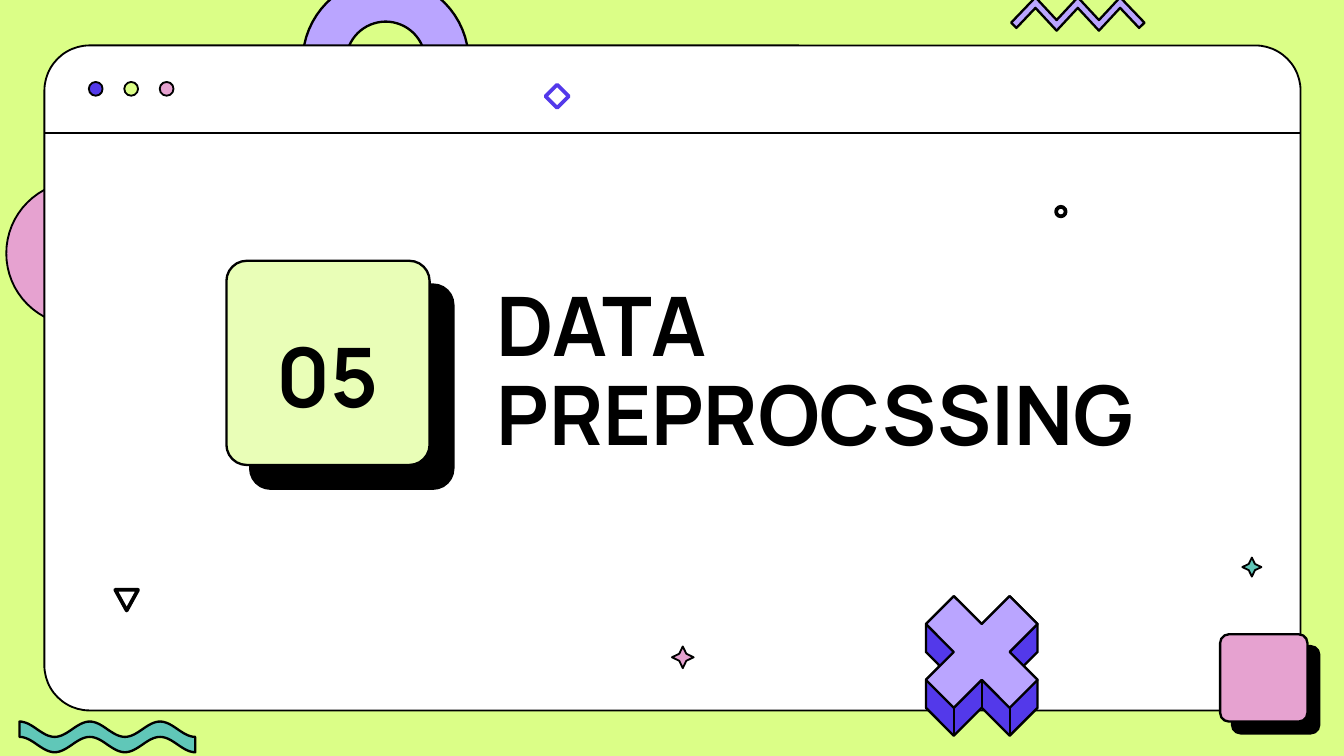
from dataclasses import dataclass
from math import cos, pi, radians, sin

from lxml.etree import SubElement
from pptx import Presentation
from pptx.dml.color import RGBColor
from pptx.enum.shapes import MSO_CONNECTOR as Connector, MSO_SHAPE as Preset
from pptx.enum.text import MSO_ANCHOR as Anchor, MSO_AUTO_SIZE as AutoSize, PP_ALIGN as Align
from pptx.oxml.ns import qn
from pptx.util import Cm, Pt


@dataclass(frozen=True)
class Theme:
    font: str = "Manrope"
    heading: float = 44
    thin: float = 1
    medium: float = 1.25
    bold: float = 2
    ink: str = "000000"
    paper: str = "FFFFFF"
    lime: str = "DBFE87"
    pale_lime: str = "E9FEB7"
    lilac: str = "BAA5FF"
    violet: str = "5339EA"
    pink: str = "E6A2D0"
    teal: str = "60C7B8"


@dataclass(frozen=True)
class Box:
    """A rectangle in centimetres."""
    left: float
    top: float
    width: float
    height: float

    def lengths(self):
        return Cm(self.left), Cm(self.top), Cm(self.width), Cm(self.height)


THEME = Theme()


def paint(shape, fill, line=THEME.ink, weight=THEME.thin):
    shape.shadow.inherit = False
    if fill:
        shape.fill.solid()
        shape.fill.fore_color.rgb = RGBColor.from_string(fill)
    else:
        shape.fill.background()
    shape.line.color.rgb = RGBColor.from_string(line)
    shape.line.width = Pt(weight)
    return shape


def add_preset(page, preset, box, fill, line=THEME.ink, weight=THEME.thin, adjust=None):
    shape = page.shapes.add_shape(preset, *box.lengths())
    if adjust is not None:
        shape.adjustments[0] = adjust
    return paint(shape, fill, line, weight)


def add_outline(page, points, fill, weight=THEME.medium):
    corners = [(Cm(x), Cm(y)) for x, y in points]
    builder = page.shapes.build_freeform(*corners[0])
    builder.add_line_segments(corners[1:])
    return paint(builder.convert_to_shape(), fill, weight=weight)


def add_line(page, x1, y1, x2, y2, weight=THEME.thin):
    line = page.shapes.add_connector(Connector.STRAIGHT, Cm(x1), Cm(y1), Cm(x2), Cm(y2))
    line.line.color.rgb = RGBColor.from_string(THEME.ink)
    line.line.width = Pt(weight)
    SubElement(line.element.spPr, qn("a:effectLst"))


def add_raised_tile(page, box, fill, adjust, distance):
    """Rounded tile with a hard diagonal shadow."""
    tile = add_preset(page, Preset.ROUNDED_RECTANGLE, box, fill,
                      weight=THEME.medium, adjust=adjust)
    effects = tile.element.spPr.find(qn("a:effectLst"))
    shadow = SubElement(effects, qn("a:outerShdw"), blurRad="0", dist=str(Pt(distance)),
                        dir="2700000", algn="bl", rotWithShape="0")
    SubElement(shadow, qn("a:srgbClr"), val=THEME.ink)


def arc(x, y, radius, start, end, steps=32):
    """Points on a circle, angles in degrees, clockwise from the right."""
    angles = [radians(start + (end - start) * i / steps) for i in range(steps + 1)]
    return [(x + radius * cos(a), y + radius * sin(a)) for a in angles]


def add_arch(page, box):
    outer = box.width / 2
    cap = 0.41
    x, y = box.left + outer, box.top + outer
    points = (arc(x, y, outer, 180, 360)
              + arc(x + outer - cap, y, cap, 0, 180)
              + arc(x, y, outer - 2 * cap, 360, 180)
              + arc(x - outer + cap, y, cap, 0, 180))
    add_outline(page, points, THEME.lilac)


def add_half_disc(page, box):
    radius = box.height / 2
    points = arc(box.left + box.width, box.top + radius, radius, 90, 270)
    add_outline(page, points, THEME.pink, THEME.thin)


def add_window(page, box):
    add_preset(page, Preset.ROUNDED_RECTANGLE, box, THEME.paper, adjust=0.068)
    bar = box.top + 1.65
    add_line(page, box.left, bar, box.left + box.width, bar)
    for i, color in enumerate((THEME.violet, THEME.lime, THEME.pink)):
        dot = Box(box.left + 0.84 + 0.67 * i, box.top + 0.69, 0.26, 0.26)
        add_preset(page, Preset.OVAL, dot, color)


def write_heading(shape, text, align, anchor):
    frame = shape.text_frame
    frame.text = text
    frame.word_wrap = True
    frame.auto_size = AutoSize.NONE
    frame.vertical_anchor = anchor
    frame.margin_left = frame.margin_right = Cm(0.25)
    frame.margin_top = frame.margin_bottom = Cm(0.25)
    para = frame.paragraphs[0]
    para.alignment = align
    para.line_spacing = 0.9
    para.space_before = Pt(0)
    font = para.runs[0].font
    font.name, font.size, font.bold = THEME.font, Pt(THEME.heading), True
    font.color.rgb = RGBColor.from_string(THEME.ink)


def add_section_heading(page, box, number, text):
    add_raised_tile(page, Box(box.left, box.top, 3.84, 3.86), THEME.pale_lime, 0.1, 18)
    title = page.shapes.title
    title.left, title.top, title.width, title.height = Box(
        box.left + 4.86, box.top + 0.35, box.width - 4.86, 3.73).lengths()
    write_heading(title, text, Align.LEFT, Anchor.BOTTOM)
    title.element.getparent().append(title.element)  # in front of the window
    label = page.shapes.add_textbox(*Box(box.left, box.top + 1.27, 3.84, 2).lengths())
    write_heading(label, number, Align.CENTER, Anchor.MIDDLE)


def add_cross(page, box):
    """Extruded cross on a grid four units wide and five high."""
    unit = box.width / 4
    x, y = box.left + 2 * unit, box.top + 2 * unit

    def place(points):
        return [(x + unit * across, y + unit * down) for across, down in points]

    right = [(1, -2), (2, -1), (2, 0), (1.5, 0.5), (2, 1), (2, 2), (1, 3)]
    left = [(-across, down) for across, down in reversed(right)]
    add_outline(page, place([(0, -1), *right, (0, 2), *left]), THEME.violet)
    front = [(1, -2), (2, -1), (1, 0), (2, 1), (1, 2), (0, 1),
             (-1, 2), (-2, 1), (-1, 0), (-2, -1), (-1, -2), (0, -1)]
    add_outline(page, place(front), THEME.lilac)
    for across, down in ((-1, 2), (0, 1), (1, 2)):
        start, end = place([(across, down), (across, down + 1)])
        add_line(page, *start, *end, THEME.medium)


def add_wave(page, box):
    steps, thickness = 80, 0.29
    swing = (box.height - thickness) / 2
    upper = [(box.left + box.width * i / steps,
              box.top + swing * (1 - cos(5 * pi * i / steps))) for i in range(steps + 1)]
    lower = [(x, y + thickness) for x, y in reversed(upper)]
    add_outline(page, upper + lower, THEME.teal)


def add_zigzag(page, box):
    left, top, right = box.left, box.top, box.left + box.width
    peaks = [(left + 0.46 + 0.4 * i, top + 0.43 * (i % 2)) for i in range(5)]
    lower = [(x, y + 0.2) for x, y in reversed(peaks)]
    add_outline(page, [(left, top + 0.48), *peaks, (right, top + 0.48),
                       (right - 0.1, top + 0.58), *lower, (left + 0.1, top + 0.58)],
                THEME.lilac)


def add_small_marks(page):
    add_preset(page, Preset.STAR_4_POINT, Box(12.7, 12.22, 0.41, 0.41), THEME.pink, adjust=0.23)
    add_preset(page, Preset.STAR_4_POINT, Box(23.48, 10.54, 0.36, 0.36), THEME.teal, adjust=0.23)
    add_preset(page, Preset.FLOWCHART_MERGE, Box(2.18, 11.15, 0.43, 0.39), None, weight=THEME.bold)
    add_preset(page, Preset.DIAMOND, Box(10.31, 1.6, 0.44, 0.44), None, THEME.violet, THEME.bold)
    add_preset(page, Preset.OVAL, Box(19.96, 3.91, 0.18, 0.18), None, weight=THEME.bold)


def main():
    deck = Presentation()
    deck.slide_width, deck.slide_height = Cm(25.4), Cm(14.29)
    page = deck.slides.add_slide(deck.slide_layouts[5])
    page.background.fill.solid()
    page.background.fill.fore_color.rgb = RGBColor.from_string(THEME.lime)

    add_arch(page, Box(5.72, -0.41, 3.14, 2))
    add_half_disc(page, Box(0.11, 3.43, 1.37, 2.72))
    add_window(page, Box(0.84, 0.86, 23.74, 12.57))
    add_section_heading(page, Box(4.28, 4.93, 18.2, 4.08), "05", "DATA PREPROCSSING")
    add_small_marks(page)
    add_cross(page, Box(17.5, 11.27, 2.11, 2.64))
    add_raised_tile(page, Box(23.06, 11.99, 1.65, 1.65), THEME.pink, 0.1, 9)
    add_wave(page, Box(0.37, 13.64, 3.32, 0.58))
    add_zigzag(page, Box(19.11, -0.05, 2.52, 0.63))
    deck.save("out.pptx")


if __name__ == "__main__":
    main()
